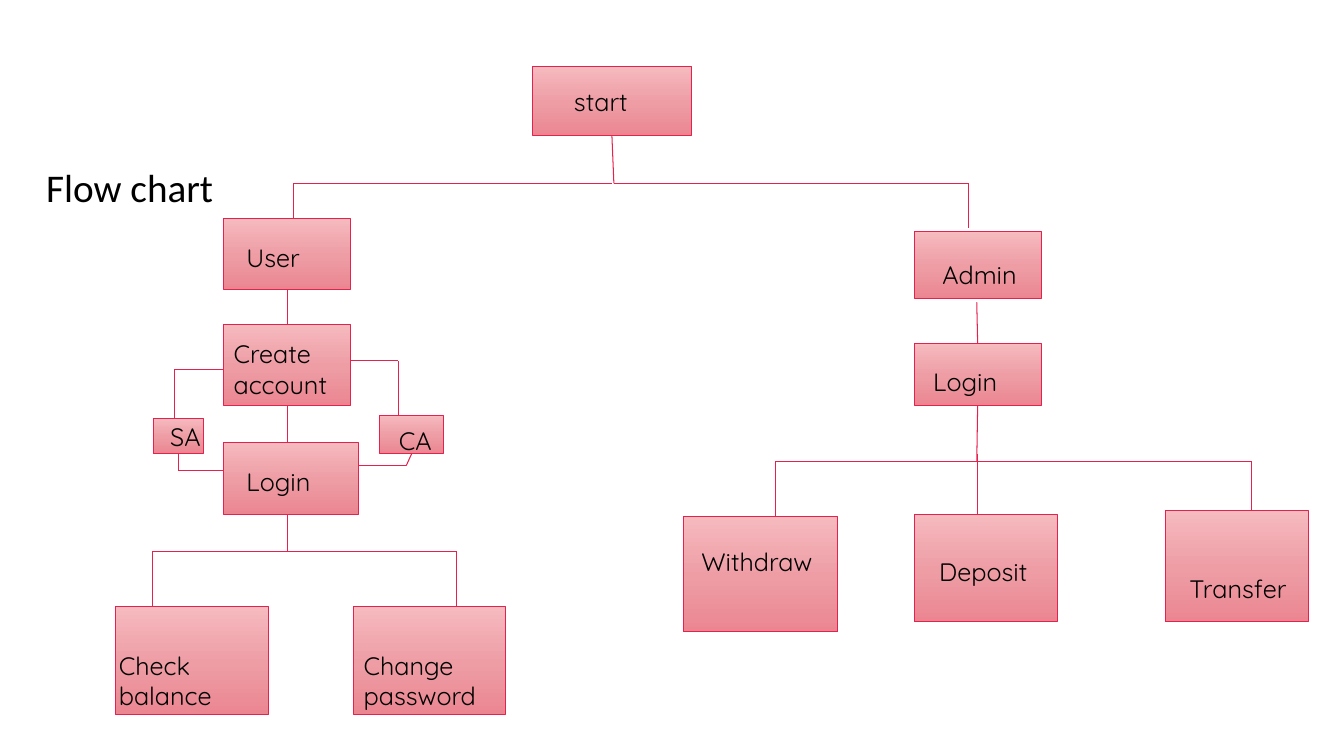
from copy import deepcopy
from dataclasses import dataclass
from typing import NamedTuple, Optional

from pptx import Presentation
from pptx import util as u
from pptx.dml.color import RGBColor
from pptx.enum import shapes, text
from pptx.oxml import ns, xmlchemy

ROSE = RGBColor(0xE5, 0x22, 0x4E)
BLACK = RGBColor(0, 0, 0)
SHADES = (
    (0, RGBColor(0xF6, 0xBA, 0xBF)),
    (0.52, RGBColor(0xEE, 0x9D, 0xA5)),
    (1, RGBColor(0xEB, 0x86, 0x91)),
)
TOP, BOTTOM = 0, 2
ONE_LINE, TWO_LINES = 28.8, 51.1
Point = tuple[float, float]


@dataclass
class Step:
    """A box and its label; all lengths in points."""
    key: str
    label: str
    box: tuple[float, float, float, float]
    label_at: Point
    label_width: float
    label_height: float = ONE_LINE
    indent: float = 0


class Elbow(NamedTuple):
    """A level rail from start_x to end_x, then a drop to end_y."""
    start_x: float
    rail_y: float
    end_x: float
    end_y: float


class Stem(NamedTuple):
    """A single line, joined to a box side where a (key, side) is given."""
    start: Point
    end: Point
    start_join: Optional[tuple[str, int]] = None
    end_join: Optional[tuple[str, int]] = None


STEPS = [
    Step("start", "start", (380.2, 47.5, 113.8, 49.2), (393.8, 58.3), 94.3, indent=9),
    # User branch
    Step("user", "User", (159.8, 156.2, 90.7, 50.4), (159.8, 169.2), 90.7, indent=9),
    Step("create", "Create account", (159.8, 231.8, 90.7, 57.6), (159.8, 238.3), 110.9, TWO_LINES),
    Step("user login", "Login", (159.8, 316.1, 96.5, 51.1), (159.8, 329.8), 85.7, indent=9),
    Step("check", "Check balance", (82.8, 433.4, 108.7, 77), (77.8, 460.8), 113.8, TWO_LINES),
    Step("change", "Change password", (252.7, 433.4, 108.7, 77), (252.7, 460.8), 120.2, TWO_LINES),
    Step("savings", "SA", (109.4, 298.8, 36, 25.2), (114.5, 297.4), 49),
    Step("current", "CA", (271.4, 296.6, 45.4, 27.4), (277.9, 300.2), 45.4),
    # Admin branch
    Step("admin", "Admin", (653, 165.6, 90.7, 47.5), (666, 181.4), 78.5),
    Step("admin login", "Login", (653, 245.5, 90.7, 43.9), (659.5, 257.8), 77),
    Step("withdraw", "Withdraw", (488.2, 368.6, 110.2, 82.8), (493.9, 386.6), 105.1),
    Step("deposit", "Deposit", (653, 367.2, 102.2, 77), (663.8, 393.8), 90.7),
    Step("transfer", "Transfer", (832.3, 365, 102.2, 79.2), (842.4, 406.1), 92.2),
]

ELBOWS = [
    Elbow(438.5, 131, 691.9, 162.7),
    Elbow(437, 131, 209.5, 169.2),
    Elbow(136.8, 393.8, 326.2, 433.4),
    Elbow(244.8, 393.8, 108.7, 433.4),
    Elbow(698.4, 329.8, 894.2, 367.2),
    Elbow(697.7, 329.8, 553.7, 373),
    Elbow(159.8, 264.2, 124.6, 298.8),
    Elbow(250.6, 257.8, 284.4, 296.6),
]

LOOSE_STEMS = [
    Stem((205.2, 289.4), (205.2, 316.1)),
    Stem((205.2, 367.2), (205.2, 393.8)),
    Stem((698.4, 324), (698.4, 372.2)),
    Stem((127.4, 336.2), (159.8, 336.2)),
    Stem((290.2, 332.6), (256.3, 332.6)),
]

JOINED_STEMS = [
    Stem((437, 96.7), (438.5, 131), ("start", BOTTOM)),
    Stem((205.2, 206.6), (205.2, 231.8), ("user", BOTTOM), ("create", TOP)),
    Stem((697.7, 216), (698.4, 245.5), None, ("admin login", TOP)),
    Stem((698.4, 289.4), (697.7, 329.8), ("admin login", BOTTOM)),
    Stem((127.4, 324), (127.4, 336.2), ("savings", BOTTOM)),
    Stem((294.1, 324), (290.2, 332.6), ("current", BOTTOM)),
]


def add_text(page, words: str, left: float, top: float, width: float, height: float, *,
             font: str = "Quicksand", size: float = 18, indent: float = 0):
    box = page.shapes.add_textbox(u.Pt(left), u.Pt(top), u.Pt(width), u.Pt(height))
    frame = box.text_frame
    frame.word_wrap = True
    frame.auto_size = text.MSO_AUTO_SIZE.SHAPE_TO_FIT_TEXT
    frame.margin_left = u.Pt(7.2 + indent)
    para = frame.paragraphs[0]
    span = para.add_run()
    span.text = words
    span.font.name = font
    span.font.size = u.Pt(size)
    span.font.color.rgb = BLACK
    return box


def add_box(page, step: Step):
    box = page.shapes.add_shape(shapes.MSO_SHAPE.RECTANGLE, *map(u.Pt, step.box))
    box.shadow.inherit = False
    box.line.color.rgb = ROSE
    box.line.width = u.Pt(0.75)
    box.fill.gradient()
    box.fill.gradient_angle = 270
    # A new gradient has two stops; add the third
    stop_list = box._element.spPr.find(".//" + ns.qn("a:gsLst"))
    stop_list.insert(1, deepcopy(stop_list[0]))
    for stop, (position, color) in zip(box.fill.gradient_stops, SHADES):
        stop.position = position
        stop.color.rgb = color
    return box


def add_line(page, stem: Stem, boxes: dict):
    line = page.shapes.add_connector(
        shapes.MSO_CONNECTOR.STRAIGHT, *map(u.Pt, stem.start + stem.end))
    line.line.color.rgb = ROSE
    line.line.width = u.Pt(0.75)
    line._element.spPr.append(xmlchemy.OxmlElement("a:effectLst"))
    if stem.start_join:
        key, side = stem.start_join
        line.begin_connect(boxes[key], side)
    if stem.end_join:
        key, side = stem.end_join
        line.end_connect(boxes[key], side)
    return line


def main() -> None:
    deck = Presentation()
    deck.slide_width, deck.slide_height = u.Pt(960), u.Pt(540)
    page = deck.slides.add_slide(deck.slide_layouts[6])

    # Lines whose ends may run under the boxes
    for elbow in ELBOWS:
        corner = (elbow.end_x, elbow.rail_y)
        add_line(page, Stem((elbow.start_x, elbow.rail_y), corner), {})
        add_line(page, Stem(corner, (elbow.end_x, elbow.end_y)), {})
    for stem in LOOSE_STEMS:
        add_line(page, stem, {})

    # Boxes, then the lines joined to them
    boxes = {step.key: add_box(page, step) for step in STEPS}
    for stem in JOINED_STEMS:
        add_line(page, stem, boxes)

    # Labels and title
    for step in STEPS:
        add_text(page, step.label, *step.label_at, step.label_width,
                 step.label_height, indent=step.indent)
    add_text(page, "Flow chart", 25.9, 113, 224.6, 41, font="Calibri", size=28)

    deck.save("out.pptx")


if __name__ == "__main__":
    main()
